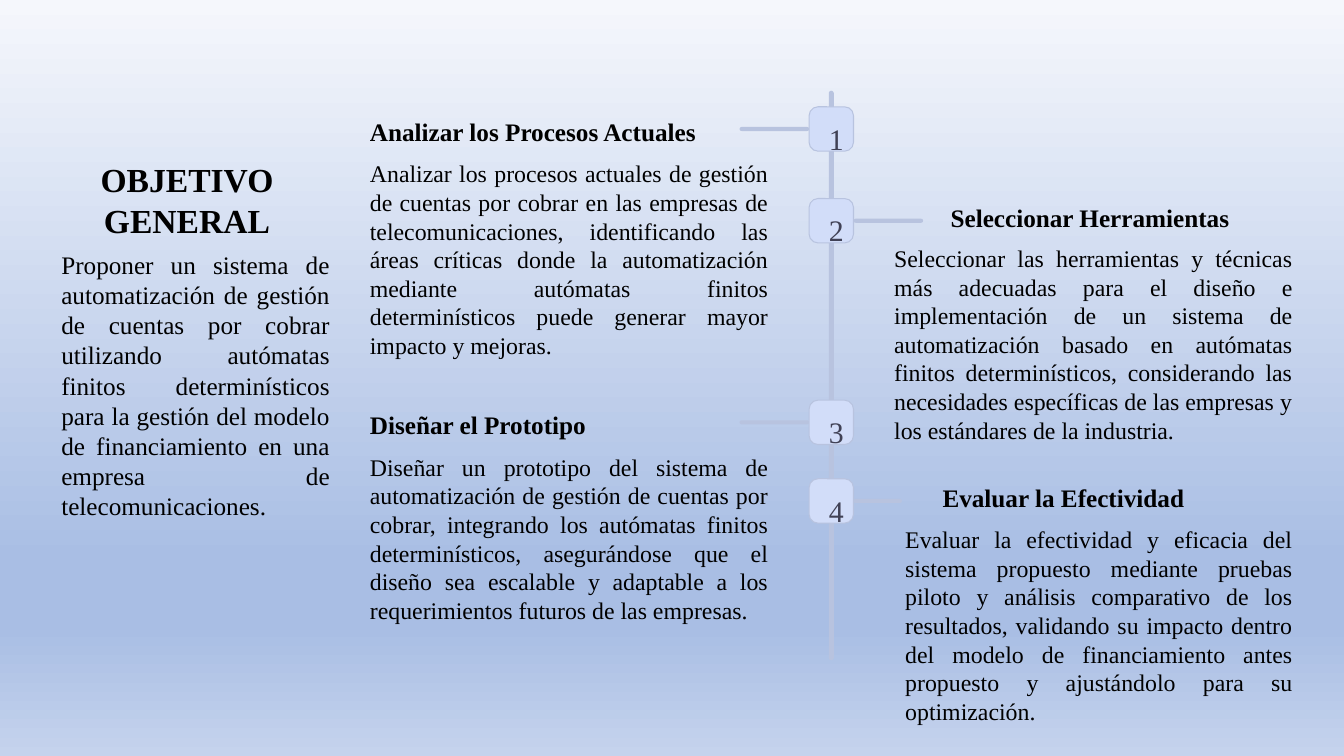
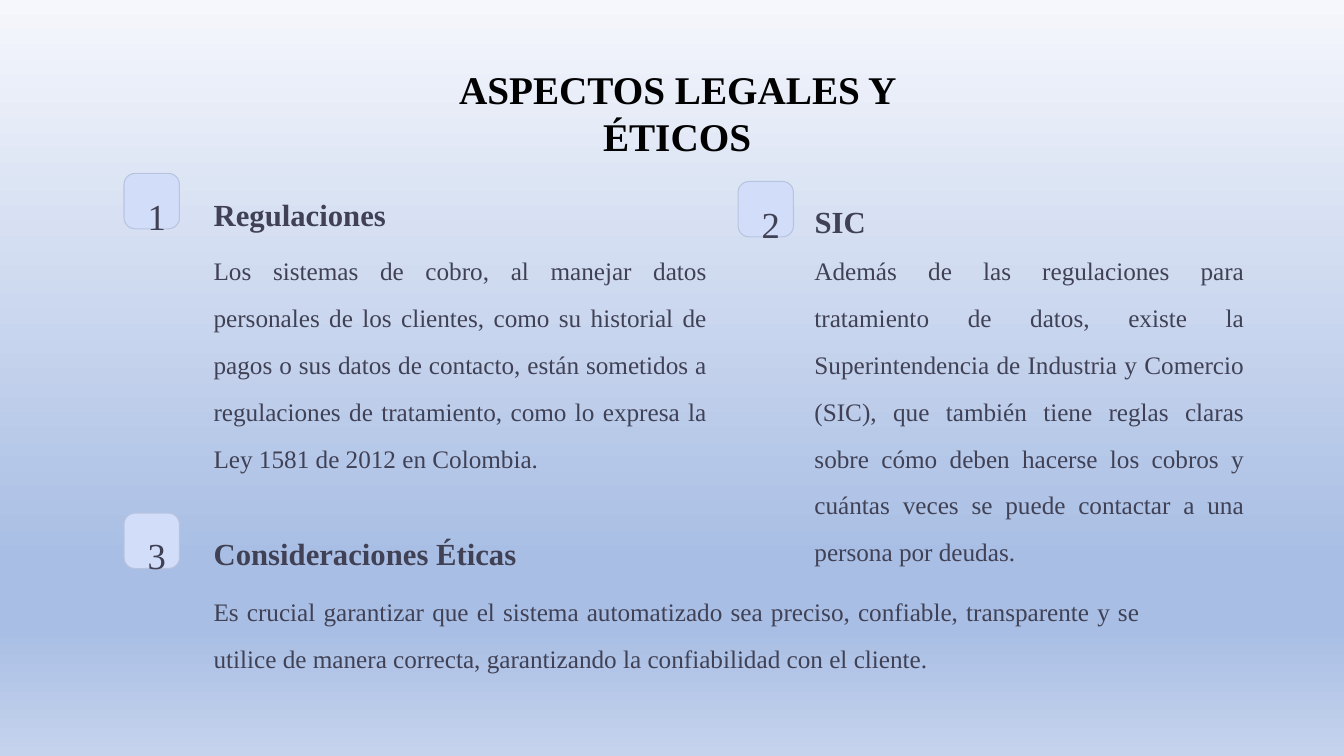
from dataclasses import dataclass

from lxml import etree
from pptx import Presentation
from pptx.dml.color import RGBColor
from pptx.enum.shapes import MSO_SHAPE
from pptx.enum.text import MSO_ANCHOR, MSO_AUTO_SIZE, PP_ALIGN
from pptx.oxml.ns import qn
from pptx.util import Inches, Pt

ROUNDED = MSO_SHAPE.ROUNDED_RECTANGLE
TOP = MSO_ANCHOR.TOP
NO_FIT = MSO_AUTO_SIZE.NONE
LEFT, CENTER, JUSTIFY = PP_ALIGN.LEFT, PP_ALIGN.CENTER, PP_ALIGN.JUSTIFY
TITLE_ONLY = 5


@dataclass(frozen=True)
class Theme:
    font: str = "Times New Roman"
    black: str = "000000"
    slate: str = "404155"
    rail: str = "B8C3DF"
    badge: str = "D2DDF9"
    background: tuple = ((0, "F5F7FC"), (74, "A9BEE4"), (83, "A9BEE4"), (100, "C5D3ED"))
    title: float = 28
    side_title: float = 24
    section: float = 21.9
    heading: float = 18
    body: float = 18
    step_body: float = 17
    step_number: float = 21.3
    section_number: float = 26.2
    loose: float = 1.25
    airy: float = 1.55


THEME = Theme()

OBJECTIVE = (
    "Proponer un sistema de automatización de gestión de cuentas por cobrar utilizando "
    "autómatas finitos determinísticos para la gestión del modelo de financiamiento en "
    "una empresa de telecomunicaciones."
)

# fmt: off
STEPS = [
    dict(top=0.16, side=-1, branch=0.69, heading=(3.57, 0.05, 3.59), body=(3.57, 0.47, 4.15),
         title="Analizar los Procesos Actuales",
         text="Analizar los procesos actuales de gestión de cuentas por cobrar en las empresas de "
              "telecomunicaciones, identificando las áreas críticas donde la automatización mediante "
              "autómatas finitos determinísticos puede generar mayor impacto y mejoras."),
    dict(top=1.07, side=1, branch=0.69, heading=(9.33, -0.01, 3.15), body=(8.77, 0.4, 4.15),
         title="Seleccionar Herramientas",
         text="Seleccionar las herramientas y técnicas más adecuadas para el diseño e implementación "
              "de un sistema de automatización basado en autómatas finitos determinísticos, "
              "considerando las necesidades específicas de las empresas y los estándares de la industria."),
    dict(top=3.07, side=-1, branch=0.69, heading=(3.57, 0.04, 3.59), body=(3.57, 0.47, 4.15),
         title="Diseñar el Prototipo",
         text="Diseñar un prototipo del sistema de automatización de gestión de cuentas por cobrar, "
              "integrando los autómatas finitos determinísticos, asegurándose que el diseño sea "
              "escalable y adaptable a los requerimientos futuros de las empresas."),
    dict(top=3.85, side=1, branch=0.48, heading=(9.25, -0.01, 2.64), body=(8.88, 0.41, 4.04),
         title="Evaluar la Efectividad",
         text="Evaluar la efectividad y eficacia del sistema propuesto mediante pruebas piloto y "
              "análisis comparativo de los resultados, validando su impacto dentro del modelo de "
              "financiamiento antes propuesto y ajustándolo para su optimización."),
]

SECTIONS = [
    dict(badge=(1.23, 1.72), text_left=2.02, heading_top=1.8, body=(2.32, 5.09, 2.76),
         title="Regulaciones",
         text="Los sistemas de cobro, al manejar datos personales de los clientes, como su historial "
              "de pagos o sus datos de contacto, están sometidos a regulaciones de tratamiento, como "
              "lo expresa la Ley 1581 de 2012 en Colombia."),
    dict(badge=(7.32, 1.8), text_left=7.98, heading_top=1.87, body=(2.32, 4.46, 3.02),
         title="SIC",
         text="Además de las regulaciones para tratamiento de datos, existe la Superintendencia de "
              "Industria y Comercio (SIC), que también tiene reglas claras sobre cómo deben hacerse "
              "los cobros y cuántas veces se puede contactar a una persona por deudas."),
    dict(badge=(1.23, 5.09), text_left=2.02, heading_top=5.17, body=(5.7, 9.39, 1.17),
         title="Consideraciones Éticas",
         text="Es crucial garantizar que el sistema automatizado sea preciso, confiable, transparente "
              "y se utilice de manera correcta, garantizando la confiabilidad con el cliente."),
]
# fmt: on


def set_background(master):
    fill = master.background.fill
    fill.gradient()
    fill.gradient_angle = 270
    stops = master.element.find(".//" + qn("a:gsLst"))
    for stop in list(stops):
        stops.remove(stop)
    for position, color in THEME.background:
        stop = etree.SubElement(stops, qn("a:gs"), pos=str(position * 1000))
        etree.SubElement(stop, qn("a:srgbClr"), val=color)


def write(tf, text, size, color, align, bold=False, spacing=1.0):
    tf.word_wrap = True
    tf.auto_size = NO_FIT
    tf.vertical_anchor = TOP
    tf.text = text
    p = tf.paragraphs[0]
    p.alignment = align
    p.line_spacing = spacing
    font = p.runs[0].font
    font.name = THEME.font
    font.size = Pt(size)
    font.bold = bold
    font.color.rgb = RGBColor.from_string(color)


def add_text(slide, box, text, size, color, align=JUSTIFY, **style):
    sp = slide.shapes.add_textbox(*map(Inches, box))
    write(sp.text_frame, text, size, color, align, **style)


def add_title_slide(prs, box, text, size):
    slide = prs.slides.add_slide(prs.slide_layouts[TITLE_ONLY])
    title = slide.shapes.title
    title.left, title.top, title.width, title.height = map(Inches, box)
    write(title.text_frame, text, size, THEME.black, CENTER, bold=True)
    return slide


def add_rounded(slide, box, color, roundness):
    sp = slide.shapes.add_shape(ROUNDED, *map(Inches, box))
    sp.shadow.inherit = False
    sp.adjustments[0] = roundness
    sp.fill.solid()
    sp.fill.fore_color.rgb = RGBColor.from_string(color)
    sp.line.fill.background()
    return sp


def add_badge(slide, left, top, side, number, size, inset_top):
    sp = add_rounded(slide, (left, top, side, side), THEME.badge, 0.2)
    sp.line.color.rgb = RGBColor.from_string(THEME.rail)
    sp.line.width = Pt(0.75)
    tf = sp.text_frame
    tf.margin_left, tf.margin_top = Inches(0.1), Inches(inset_top)
    tf.margin_right = tf.margin_bottom = 0
    write(tf, str(number), size, THEME.slate, CENTER, spacing=THEME.loose)


def add_step(slide, axis, origin, number, step):
    side, thickness = 0.44, 0.04
    left, top = axis - side / 2, origin + step["top"]
    branch = step["branch"]
    branch_left = left - branch if step["side"] < 0 else left + side
    branch_top = top + (side - thickness) / 2
    add_rounded(slide, (branch_left, branch_top, branch, thickness), THEME.rail, 0.5)
    add_badge(slide, left, top, side, number, THEME.step_number, 0.02)
    x, offset, width = step["heading"]
    add_text(slide, (x, top + offset, width, 0.4), step["title"],
             THEME.heading, THEME.black, bold=True)
    x, offset, width = step["body"]
    add_text(slide, (x, top + offset, width, 2.1), step["text"],
             THEME.step_body, THEME.black)


def add_timeline(slide, box, steps):
    left, top, width, _ = box
    add_rounded(slide, box, THEME.rail, 0.5)
    for number, step in enumerate(steps, 1):
        add_step(slide, left + width / 2, top, number, step)


def add_section(slide, number, section):
    left = section["text_left"]
    add_badge(slide, *section["badge"], 0.55, number, THEME.section_number, 0.06)
    add_text(slide, (left, section["heading_top"], 3.45, 0.38), section["title"],
             THEME.section, THEME.slate, LEFT, bold=True, spacing=THEME.loose)
    top, width, height = section["body"]
    add_text(slide, (left, top, width, height), section["text"],
             THEME.body, THEME.slate, spacing=THEME.airy)


def build_objectives(prs):
    slide = add_title_slide(prs, (0.14, 1.53, 3.43, 0.91), "OBJETIVO GENERAL", THEME.side_title)
    add_timeline(slide, (8.22, 0.9, 0.05, 5.65), STEPS)
    add_text(slide, (0.51, 2.42, 2.86, 2.83), OBJECTIVE, THEME.body, THEME.black)


def build_legal_aspects(prs):
    slide = add_title_slide(prs, (4.17, 0.6, 5.09, 1.04), "ASPECTOS LEGALES Y ÉTICOS", THEME.title)
    for number, section in enumerate(SECTIONS, 1):
        add_section(slide, number, section)


def main():
    prs = Presentation()
    prs.slide_width, prs.slide_height = Inches(13.33), Inches(7.5)
    set_background(prs.slide_master)
    build_objectives(prs)
    build_legal_aspects(prs)
    prs.save("out.pptx")


if __name__ == "__main__":
    main()
